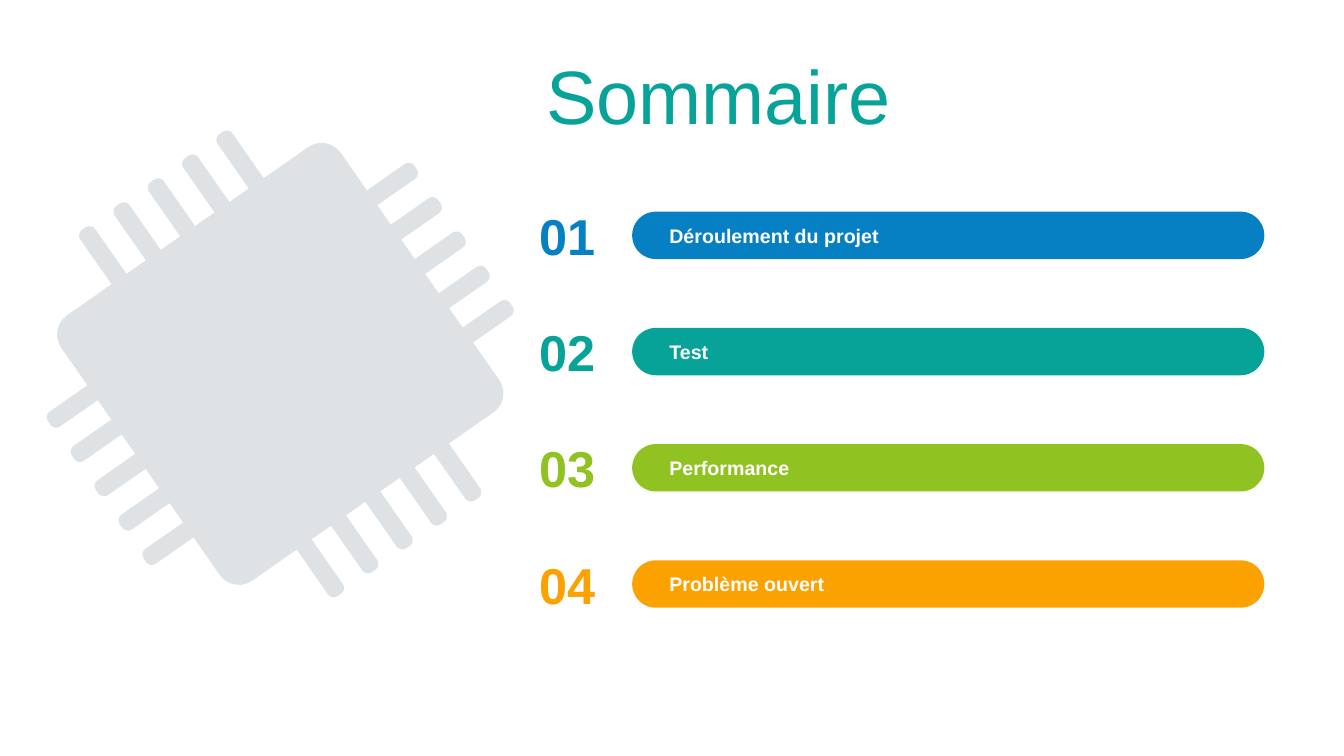
import math
from dataclasses import dataclass

import lxml.etree
import pptx
import pptx.dml.color
import pptx.enum.shapes
import pptx.enum.text
import pptx.oxml.ns
import pptx.util

Inches = pptx.util.Inches
PP_ALIGN = pptx.enum.text.PP_ALIGN
SHAPES = pptx.enum.shapes.MSO_SHAPE

FONT = "Arial"
COLORS = {
    "blue": "0680C3",
    "teal": "07A398",
    "green": "90C221",
    "orange": "FBA200",
    "white": "FFFFFF",
    "slate": "525F74",
}

# Agenda rows
ROW_TOP, ROW_PITCH = 1.98, 1.153
BAR_OFFSET = 0.12

# Chip, measured from its centre
CHIP_CENTER = (2.78, 3.61)
CHIP_ROTATION = -34.9
BODY_HALF_W, BODY_HALF_H, BODY_RADIUS = 1.69, 1.605, 0.23
PIN_COUNT, PIN_PITCH, PIN_WIDTH = 5, 0.415, 0.18
PIN_TIP, PIN_RADIUS = 2.215, 0.07

Point = tuple[float, float]


@dataclass(frozen=True)
class AgendaItem:
    number: str
    label: str
    color: str


ITEMS = [
    AgendaItem("01", "Déroulement du projet", "blue"),
    AgendaItem("02", "Test", "teal"),
    AgendaItem("03", "Performance", "green"),
    AgendaItem("04", "Problème ouvert", "orange"),
]


def rgb(name: str) -> pptx.dml.color.RGBColor:
    return pptx.dml.color.RGBColor.from_string(COLORS[name])


def set_text(sp, text: str, size: float, color: str, bold: bool = False,
             align=PP_ALIGN.LEFT, left: float = 0.1, right: float = 0.1) -> None:
    tf = sp.text_frame
    tf.text = text
    tf.word_wrap = True
    tf.auto_size = pptx.enum.text.MSO_AUTO_SIZE.NONE
    tf.vertical_anchor = pptx.enum.text.MSO_ANCHOR.MIDDLE
    tf.margin_left, tf.margin_right = Inches(left), Inches(right)
    tf.margin_top = tf.margin_bottom = Inches(0.05)
    p = tf.paragraphs[0]
    p.alignment = align
    r = p.runs[0]
    r.font.name = FONT
    r.font.size = pptx.util.Pt(size)
    r.font.bold = bold
    r.font.color.rgb = rgb(color)


def paint(sp, color: str) -> None:
    sp.shadow.inherit = False
    sp.fill.solid()
    sp.fill.fore_color.rgb = rgb(color)
    sp.line.fill.background()


def add_item(s, item: AgendaItem, top: float) -> None:
    group = s.shapes.add_group_shape()
    number = group.shapes.add_textbox(
        Inches(5.1), Inches(top), Inches(1.05), Inches(0.71))
    set_text(number, item.number, 36, item.color, True, PP_ALIGN.CENTER, 0.12, 0.12)
    bar = group.shapes.add_shape(
        SHAPES.ROUNDED_RECTANGLE, Inches(6.27), Inches(top + BAR_OFFSET),
        Inches(6.27), Inches(0.47))
    bar.adjustments[0] = 0.5
    paint(bar, item.color)
    set_text(bar, item.label, 14, "white", True, left=0.3)


def arc(cx: float, cy: float, radius: float, start: int) -> list[Point]:
    """Clockwise quarter circle from the given angle in degrees."""
    angles = [math.radians(start + step) for step in range(0, 91, 15)]
    return [(cx + radius * math.cos(a), cy + radius * math.sin(a)) for a in angles]


def chip_side(half_length: float, edge: float) -> list[Point]:
    """Top side with its pins, then the corner on its right."""
    points: list[Point] = []
    for i in range(PIN_COUNT):
        x = (i - (PIN_COUNT - 1) / 2) * PIN_PITCH
        left, right = x - PIN_WIDTH / 2, x + PIN_WIDTH / 2
        points.append((left, -edge))
        points += arc(left + PIN_RADIUS, PIN_RADIUS - PIN_TIP, PIN_RADIUS, 180)
        points += arc(right - PIN_RADIUS, PIN_RADIUS - PIN_TIP, PIN_RADIUS, 270)
        points.append((right, -edge))
    return points + arc(half_length - BODY_RADIUS, BODY_RADIUS - edge, BODY_RADIUS, 270)


def chip_outline() -> list[Point]:
    halves = (BODY_HALF_W, BODY_HALF_H)
    points: list[Point] = []
    for turn in range(4):
        side = chip_side(halves[turn % 2], halves[1 - turn % 2])
        for _ in range(turn):
            side = [(-y, x) for x, y in side]
        points += side
    return [(CHIP_CENTER[0] + x, CHIP_CENTER[1] + y) for x, y in points]


def add_chip(s) -> None:
    points = [(Inches(x), Inches(y)) for x, y in chip_outline()]
    builder = s.shapes.build_freeform(*points[0])
    builder.add_line_segments(points[1:], close=True)
    chip = builder.convert_to_shape()
    chip.rotation = CHIP_ROTATION
    paint(chip, "slate")
    # Transparency
    qn = pptx.oxml.ns.qn
    color = chip.fill._xPr.find(qn("a:solidFill")).find(qn("a:srgbClr"))
    lxml.etree.SubElement(color, qn("a:alpha"), val="18000")


def main() -> None:
    prs = pptx.Presentation()
    prs.slide_width, prs.slide_height = Inches(13.33), Inches(7.5)
    s = prs.slides.add_slide(prs.slide_layouts[5])

    # Title
    title = s.shapes.title
    title.left, title.top = Inches(5.32), Inches(0.43)
    title.width, title.height = Inches(7.22), Inches(1.01)
    set_text(title, "Sommaire", 54, "teal")

    # Agenda
    for i, item in enumerate(ITEMS):
        add_item(s, item, ROW_TOP + i * ROW_PITCH)

    # Chip illustration
    add_chip(s)

    prs.save("out.pptx")


if __name__ == "__main__":
    main()
